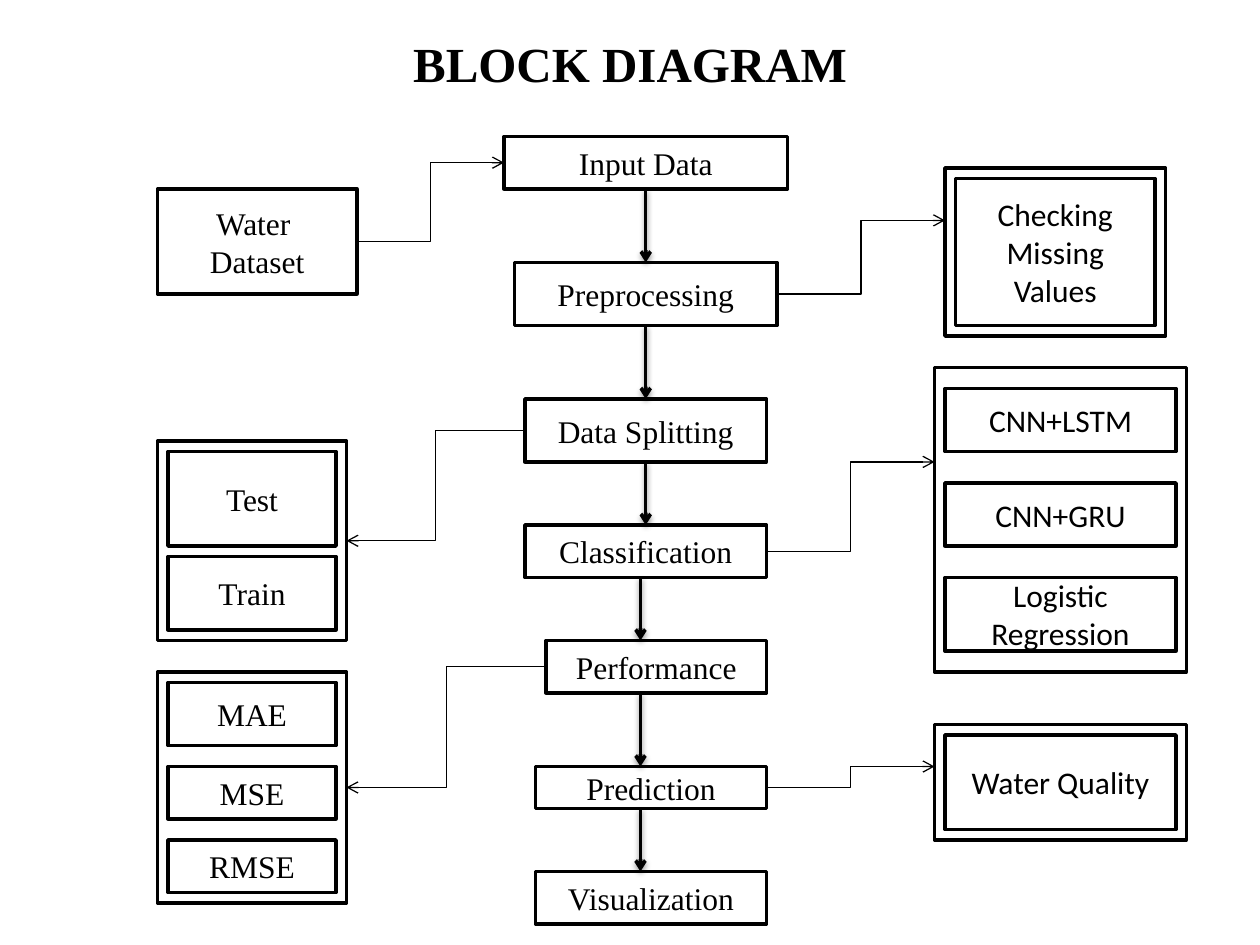
from dataclasses import dataclass

from lxml.etree import SubElement
from pptx import Presentation
from pptx.dml.color import RGBColor
from pptx.enum.shapes import MSO_CONNECTOR as Connector, MSO_SHAPE as Shape
from pptx.enum.text import MSO_ANCHOR as Anchor, PP_ALIGN as Align
from pptx.oxml.ns import qn
from pptx.util import Cm, Pt


@dataclass(frozen=True)
class Theme:
    """Colours, fonts, type sizes and line widths of the slide."""
    ink: RGBColor = RGBColor(0, 0, 0)
    paper: RGBColor = RGBColor(255, 255, 255)
    serif: str = "Times New Roman"
    sans: str = "Calibri"
    title_size: Pt = Pt(28)
    body_size: Pt = Pt(18)
    heavy: Pt = Pt(2)
    thin: Pt = Pt(0.75)


THEME = Theme()

TITLE = ("BLOCK DIAGRAM", (0, 0, 120, 12))
FRAMES = [
    (15, 42, 18, 19), (15, 64, 18, 22),
    (90, 16, 21, 16), (89, 35, 24, 29), (89, 69, 24, 11),
]
STEPS = [
    ("Input Data", (48, 13, 27, 5)),
    ("Preprocessing", (49, 25, 25, 6)),
    ("Data Splitting", (50, 38, 23, 6)),
    ("Classification", (50, 50, 23, 5)),
    ("Performance", (52, 61, 21, 5)),
    ("Prediction", (51, 73, 22, 4)),
    ("Visualization", (51, 83, 22, 5)),
]
STEP_ARROW_X = [61.5, 61.5, 61.5, 61, 61, 61]
LEFT_BOXES = [
    ("Water \nDataset", (15, 18, 19, 10)),
    ("Test", (16, 43, 16, 9)),
    ("Train", (16, 53, 16, 7)),
    ("MAE", (16, 65, 16, 6)),
    ("MSE", (16, 73, 16, 5)),
    ("RMSE", (16, 80, 16, 5)),
]
RIGHT_BOXES = [
    ("Checking Missing Values", (91, 17, 19, 14)),
    ("CNN+LSTM", (90, 37, 22, 6)),
    ("CNN+GRU", (90, 46, 22, 6)),
    ("Logistic Regression", (90, 55, 22, 7)),
    ("Water Quality", (90, 70, 22, 9)),
]
BRANCHES = [
    (34, 23, 48, 15.5), (50, 41, 33, 51.5), (52, 63.5, 33, 75),
    (74, 28, 90, 21), (73, 52.5, 89, 44), (73, 75, 89, 73),
]


def grid(*steps):
    """Turn grid steps, twelve to 2.54 cm, into lengths."""
    return [Cm(2.54 * step / 12) for step in steps]


def apply_format(target, values):
    """Set each attribute named in a dict of format values."""
    for name, value in values.items():
        setattr(target, name, value)


def write_text(shape, text, font_values):
    """Write centred paragraphs, one for each line of text."""
    frame = shape.text_frame
    apply_format(frame, {"text": text, "word_wrap": True,
                         "vertical_anchor": Anchor.MIDDLE})
    for paragraph in frame.paragraphs:
        paragraph.alignment = Align.CENTER
        for run in paragraph.runs:
            apply_format(run.font, font_values)
            run.font.color.rgb = THEME.ink


def add_title(slide, text, place):
    """Add the bold slide title."""
    shape = slide.shapes.add_textbox(*grid(*place))
    write_text(shape, text, {"name": THEME.serif, "size": THEME.title_size, "bold": True})


def add_box(slide, place, text="", font_name=THEME.serif):
    """Add an outlined rectangle with optional centred text."""
    shape = slide.shapes.add_shape(Shape.RECTANGLE, *grid(*place))
    shape.shadow.inherit = False
    shape.fill.solid()
    shape.fill.fore_color.rgb = THEME.paper
    shape.line.color.rgb = THEME.ink
    shape.line.width = THEME.heavy
    if text:
        write_text(shape, text, {"name": font_name, "size": THEME.body_size})


def add_arrow(slide, kind, ends, width, shadow=False):
    """Add a connector with an open arrowhead at its end."""
    connector = slide.shapes.add_connector(kind, *grid(*ends))
    connector.line.color.rgb = THEME.ink
    connector.line.width = width
    properties = connector._element.spPr
    SubElement(properties.find(qn("a:ln")), qn("a:tailEnd"), type="arrow")
    effects = SubElement(properties, qn("a:effectLst"))
    if shadow:
        outer = SubElement(effects, qn("a:outerShdw"), blurRad="40000",
                           dist="20000", dir="5400000", rotWithShape="0")
        colour = SubElement(outer, qn("a:srgbClr"), val=str(THEME.ink))
        SubElement(colour, qn("a:alpha"), val="38000")


def add_step_arrows(slide):
    """Join each step to the next with a vertical arrow."""
    for x, (_, upper), (_, lower) in zip(STEP_ARROW_X, STEPS, STEPS[1:]):
        ends = (x, upper[1] + upper[3], x, lower[1])
        add_arrow(slide, Connector.STRAIGHT, ends, THEME.heavy, shadow=True)


def main():
    """Build and save the block diagram slide."""
    presentation = Presentation()
    apply_format(presentation, {"slide_width": Cm(25.4), "slide_height": Cm(19.05)})
    slide = presentation.slides.add_slide(presentation.slide_layouts[6])
    add_title(slide, *TITLE)
    for place in FRAMES:
        add_box(slide, place)
    for text, place in STEPS + LEFT_BOXES:
        add_box(slide, place, text)
    for text, place in RIGHT_BOXES:
        add_box(slide, place, text, THEME.sans)
    add_step_arrows(slide)
    for ends in BRANCHES:
        add_arrow(slide, Connector.ELBOW, ends, THEME.thin)
    presentation.save("out.pptx")


if __name__ == "__main__":
    main()
